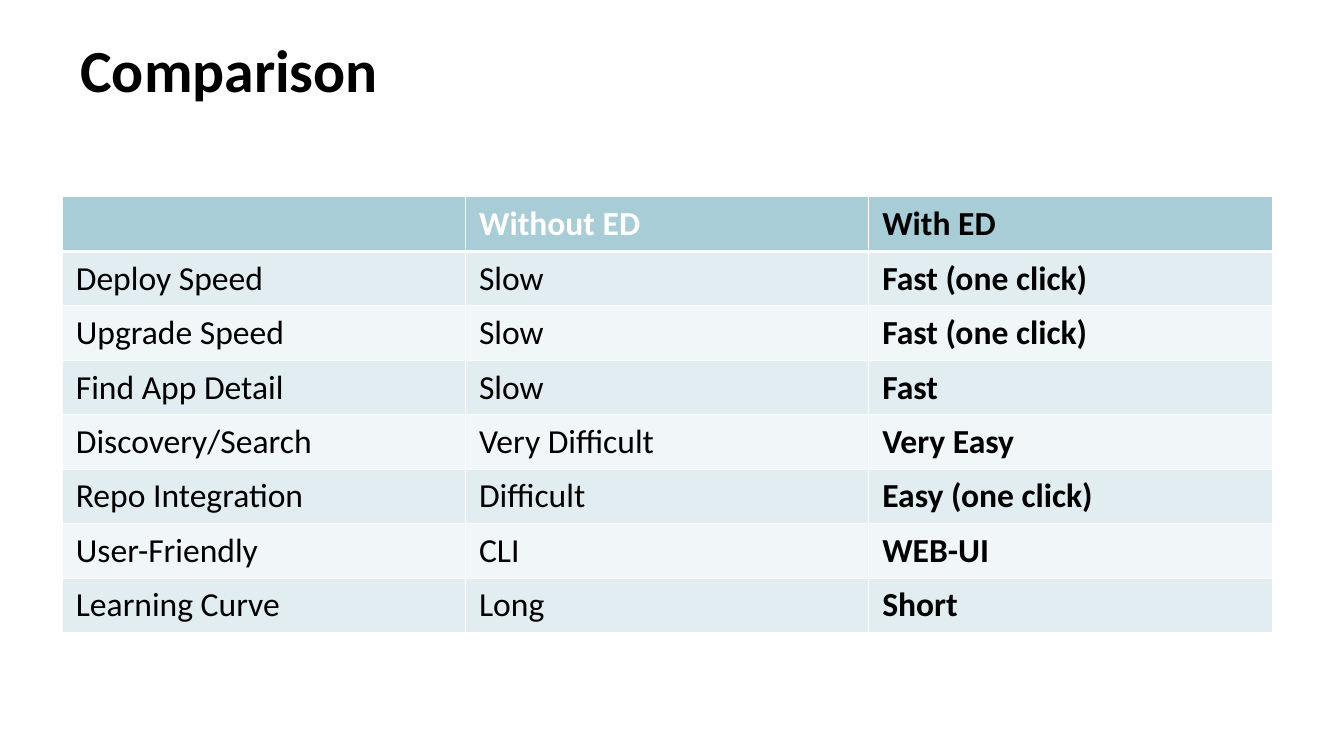
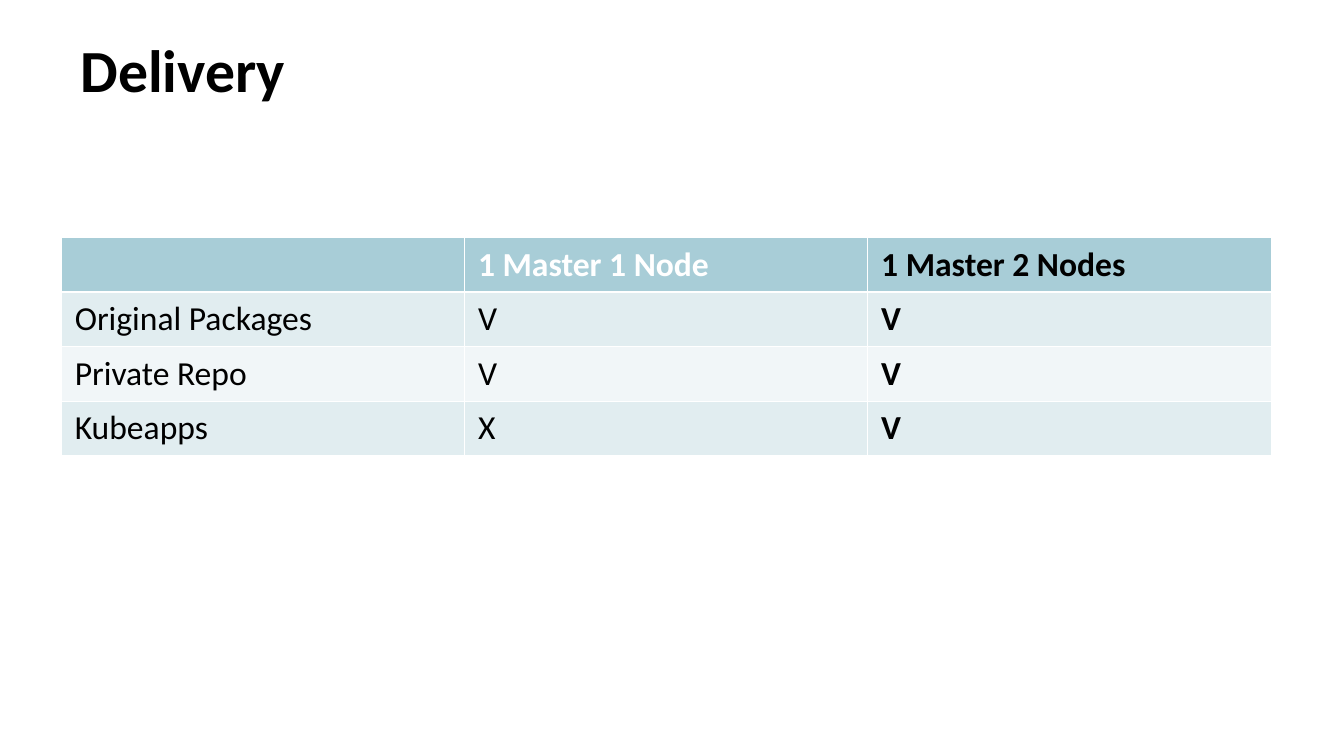
import dataclasses

import lxml.etree
import pptx
import pptx.dml.color
import pptx.enum.text
import pptx.oxml.ns
import pptx.util

Cm = pptx.util.Cm
Pt = pptx.util.Pt


# Shared look
@dataclasses.dataclass(frozen=True)
class Theme:
    font: str = "Calibri"
    title: int = 32
    body: int = 18
    dark: str = "000000"
    light: str = "FFFFFF"
    head: str = "A8CDD7"
    bands: tuple[str, str] = ("E1EDF0", "F1F6F8")
    thin: float = 0.45
    thick: float = 1.47
    col: pptx.util.Length = Cm(7.62)
    row: pptx.util.Length = Cm(1.03)


THEME = Theme()


@dataclasses.dataclass(frozen=True)
class Page:
    title: str
    left: pptx.util.Length
    top: pptx.util.Length
    rows: list[tuple[str, str, str]]


# Content
PAGES = [
    Page("Comparison", Cm(1.18), Cm(3.72), [
        ("", "Without ED", "With ED"),
        ("Deploy Speed", "Slow", "Fast (one click)"),
        ("Upgrade Speed", "Slow", "Fast (one click)"),
        ("Find App Detail", "Slow", "Fast"),
        ("Discovery/Search", "Very Difficult", "Very Easy"),
        ("Repo Integration", "Difficult", "Easy (one click)"),
        ("User-Friendly", "CLI", "WEB-UI"),
        ("Learning Curve", "Long", "Short"),
    ]),
    Page("Delivery", Cm(1.16), Cm(4.49), [
        ("", "1 Master 1 Node", "1 Master 2 Nodes"),
        ("Original Packages", "V", "V"),
        ("Private Repo", "V", "V"),
        ("Kubeapps", "X", "V"),
    ]),
]


def rgb(code: str) -> pptx.dml.color.RGBColor:
    return pptx.dml.color.RGBColor.from_string(code)


def write(frame, text: str, size: int, color: str, bold: bool) -> None:
    frame.text = text
    for run in frame.paragraphs[0].runs:
        font = run.font
        font.name, font.size, font.bold = THEME.font, Pt(size), bold
        font.color.rgb = rgb(color)


def edge(cell, side: str, width: float) -> None:
    qn = pptx.oxml.ns.qn
    props = cell._tc.get_or_add_tcPr()
    line = lxml.etree.SubElement(props, qn(f"a:ln{side}"), w=str(int(Pt(width))))
    fill = lxml.etree.SubElement(line, qn("a:solidFill"))
    lxml.etree.SubElement(fill, qn("a:srgbClr"), val=THEME.light)


def add_title(slide, text: str) -> None:
    box = slide.shapes.add_textbox(Cm(1.27), Cm(0.25), Cm(22.86), Cm(2.11))
    frame = box.text_frame
    frame.word_wrap = True
    frame.vertical_anchor = pptx.enum.text.MSO_ANCHOR.MIDDLE
    write(frame, text, THEME.title, THEME.dark, True)


def add_grid(slide, page: Page) -> None:
    rows, cols = len(page.rows), len(page.rows[0])
    table = slide.shapes.add_table(
        rows, cols, page.left, page.top, THEME.col * cols, THEME.row * rows
    ).table
    table.first_row = table.horz_banding = False
    for col in table.columns:
        col.width = THEME.col
    for r, texts in enumerate(page.rows):
        table.rows[r].height = THEME.row
        head = r == 0
        for c, text in enumerate(texts):
            cell = table.cell(r, c)
            last = c == cols - 1
            color = THEME.light if head and not last else THEME.dark
            write(cell.text_frame, text, THEME.body, color, head or last)
            # The rule under the header is thicker
            for side in "LRTB":
                rule = (r, side) in ((0, "B"), (1, "T"))
                edge(cell, side, THEME.thick if rule else THEME.thin)
            cell.fill.solid()
            shade = THEME.head if head else THEME.bands[(r - 1) % 2]
            cell.fill.fore_color.rgb = rgb(shade)


def main() -> None:
    deck = pptx.Presentation()
    deck.slide_width, deck.slide_height = Cm(25.4), Cm(14.29)
    for page in PAGES:
        slide = deck.slides.add_slide(deck.slide_layouts[6])
        add_grid(slide, page)
        add_title(slide, page.title)
    deck.save("out.pptx")


if __name__ == "__main__":
    main()
